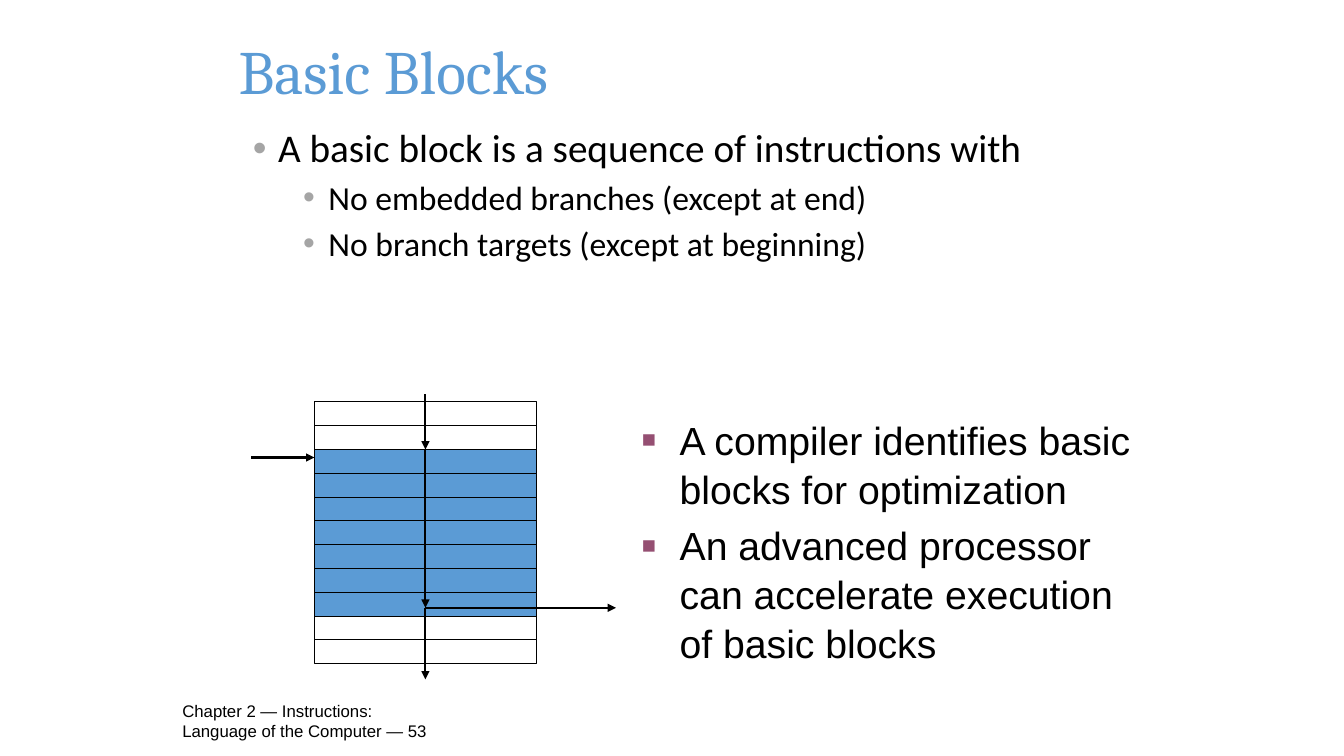
from dataclasses import dataclass

from lxml import etree
from pptx import Presentation
from pptx.dml.color import RGBColor
from pptx.enum.shapes import MSO_CONNECTOR, MSO_SHAPE
from pptx.enum.text import MSO_ANCHOR
from pptx.oxml.ns import qn
from pptx.util import Pt

RECTANGLE = MSO_SHAPE.RECTANGLE
STRAIGHT = MSO_CONNECTOR.STRAIGHT
TOP = MSO_ANCHOR.TOP
MIDDLE = MSO_ANCHOR.MIDDLE


@dataclass(frozen=True)
class Theme:
    ink: str = "000000"
    accent: str = "5B9BD5"
    outline_bullet: str = "A5A5A5"
    remark_bullet: str = "954F72"
    heading_font: str = "Cambria"
    outline_font: str = "Calibri"
    remark_font: str = "Arial"
    title_size: float = 44
    main_size: float = 28
    sub_size: float = 24
    footer_size: float = 12
    row_line: float = 0.75
    arrow_line: float = 1.5


@dataclass(frozen=True)
class Bullet:
    symbol: str
    color: str
    percent: int
    margin: float
    hang: float


class SlideBuilder:
    def __init__(self, slide, theme):
        self.slide = slide
        self.theme = theme

    def text_box(self, left, top, width, height, anchor=TOP):
        frame = self.slide.shapes.add_textbox(
            Pt(left), Pt(top), Pt(width), Pt(height)).text_frame
        frame.word_wrap = True
        frame.vertical_anchor = anchor
        return frame

    def paragraph(self, frame, wording, font, size, color=None, bullet=None,
                  level=0, spacing=1.0, before=0):
        first = not frame.paragraphs[0].runs
        paragraph = frame.paragraphs[0] if first else frame.add_paragraph()
        paragraph.text = wording
        paragraph.level = level
        if bullet:
            self.add_bullet(paragraph, bullet)
        paragraph.line_spacing = spacing
        paragraph.space_before = Pt(0 if first else before)
        paragraph.font.name = font
        paragraph.font.size = Pt(size)
        paragraph.font.color.rgb = RGBColor.from_string(color or self.theme.ink)

    def add_bullet(self, paragraph, bullet):
        properties = paragraph._p.get_or_add_pPr()
        properties.set("marL", str(Pt(bullet.margin)))
        properties.set("indent", str(-Pt(bullet.hang)))
        tint = etree.SubElement(properties, qn("a:buClr"))
        etree.SubElement(tint, qn("a:srgbClr"), val=bullet.color)
        etree.SubElement(properties, qn("a:buSzPct"), val=str(bullet.percent * 1000))
        etree.SubElement(properties, qn("a:buFont"), typeface="Arial")
        etree.SubElement(properties, qn("a:buChar"), char=bullet.symbol)

    def row(self, group, left, top, width, height, fill=None):
        row = group.shapes.add_shape(
            RECTANGLE, Pt(left), Pt(top), Pt(width), Pt(height))
        row.shadow.inherit = False
        if fill:
            row.fill.solid()
            row.fill.fore_color.rgb = RGBColor.from_string(fill)
        else:
            row.fill.background()
        row.line.color.rgb = RGBColor.from_string(self.theme.ink)
        row.line.width = Pt(self.theme.row_line)

    def arrow(self, group, start, end):
        arrow = group.shapes.add_connector(
            STRAIGHT, *(Pt(length) for length in (*start, *end)))
        arrow.line.color.rgb = RGBColor.from_string(self.theme.ink)
        arrow.line.width = Pt(self.theme.arrow_line)
        etree.SubElement(arrow.line._get_or_add_ln(), qn("a:tailEnd"), type="triangle")
        etree.SubElement(arrow._element.spPr, qn("a:effectLst"))


def add_texts(builder):
    theme = builder.theme
    footer = builder.text_box(123.1, 500.4, 200.9, 28.8, MIDDLE)
    builder.paragraph(
        footer, "Chapter 2 — Instructions: Language of the Computer — 53",
        theme.remark_font, theme.footer_size)

    title = builder.text_box(163.4, -2.2, 711.4, 104.4, MIDDLE)
    builder.paragraph(
        title, "Basic Blocks", theme.heading_font, theme.title_size, theme.accent)

    definition = builder.text_box(173.5, 88.6, 651.6, 181.4)
    for level, size, wording in (
        (0, theme.main_size, "A basic block is a sequence of instructions with"),
        (1, theme.sub_size, "No embedded branches (except at end)"),
        (1, theme.sub_size, "No branch targets (except at beginning)"),
    ):
        dot = Bullet("•", theme.outline_bullet, 100, 18 + 36 * level, 18)
        builder.paragraph(definition, wording, theme.outline_font, size,
                          bullet=dot, level=level, spacing=0.9, before=7)

    remarks = builder.text_box(451.4, 292.3, 367.9, 187.2)
    square = Bullet("■", theme.remark_bullet, 60, 27, 27)
    for wording in (
        "A compiler identifies basic blocks for optimization",
        "An advanced processor can accelerate execution of basic blocks",
    ):
        builder.paragraph(remarks, wording, theme.remark_font, theme.main_size,
                          bullet=square, spacing=1.04, before=5.6)


def add_diagram(builder):
    diagram = builder.slide.shapes.add_group_shape()
    left, top, width, pitch = 224.6, 287.1, 158.6, 17
    row_count, block_rows = 11, range(2, 9)
    for index in range(row_count):
        fill = builder.theme.accent if index in block_rows else None
        builder.row(diagram, left, top + index * pitch, width, pitch, fill)

    middle = left + width / 2
    block_top = top + block_rows.start * pitch
    branch = top + (block_rows.stop - 0.35) * pitch
    entry = block_top + 5.7
    for start, end in (
        ((middle, 281.5), (middle, block_top)),
        ((middle, block_top), (middle, branch)),
        ((middle, branch), (middle, 485.3)),
        ((middle, branch), (440, branch)),
        ((179.3, entry), (left, entry)),
    ):
        builder.arrow(diagram, start, end)


def main():
    presentation = Presentation()
    presentation.slide_width = Pt(960)
    presentation.slide_height = Pt(540)
    slide = presentation.slides.add_slide(presentation.slide_layouts[6])
    builder = SlideBuilder(slide, Theme())
    add_texts(builder)
    add_diagram(builder)
    presentation.save("out.pptx")


if __name__ == "__main__":
    main()
